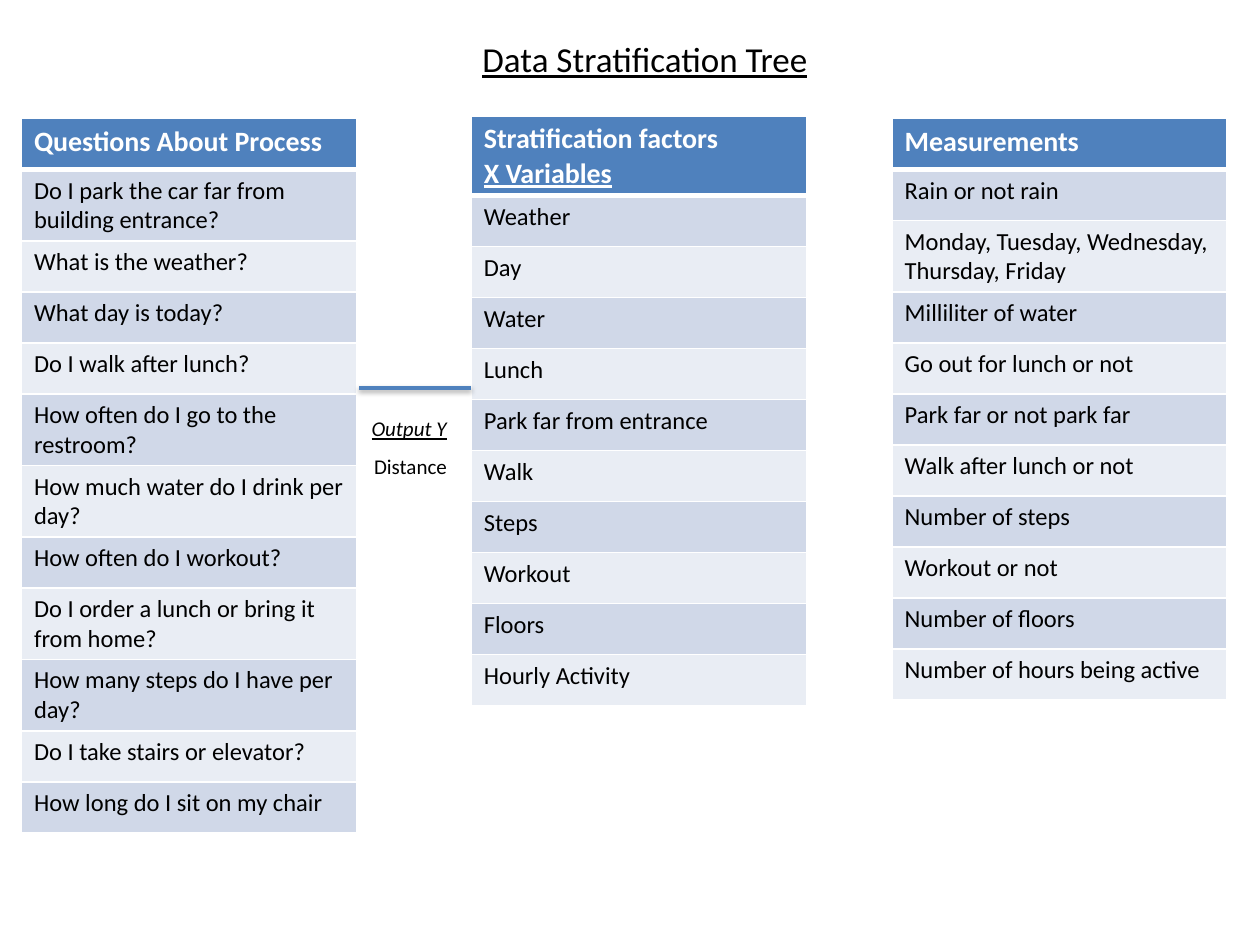
from lxml import etree
from pptx import Presentation
from pptx.dml.color import RGBColor
from pptx.enum.shapes import MSO_CONNECTOR
from pptx.oxml import parse_xml
from pptx.util import Inches, Pt

BLACK = RGBColor(0, 0, 0)
WHITE = RGBColor(0xFF, 0xFF, 0xFF)
BLUE = RGBColor(0x4F, 0x81, 0xBD)
BANDS = [RGBColor(0xD0, 0xD8, 0xE8), RGBColor(0xE9, 0xED, 0xF4)]
NS = "http://schemas.openxmlformats.org/drawingml/2006/main"


def add_run(paragraph, text, size, color=BLACK, bold=False, italic=False, underline=False):
    """Append one formatted run to a paragraph."""
    run = paragraph.add_run()
    run.text = text
    font = run.font
    font.name, font.size, font.color.rgb = "Calibri", Pt(size), color
    font.bold, font.italic, font.underline = bold, italic, underline


def style_cell(cell, fill, bottom_width):
    """Fill a cell and give it white borders."""
    cell.fill.solid()
    cell.fill.fore_color.rgb = fill
    properties = cell._tc.get_or_add_tcPr()
    for index, side in enumerate("LRTB"):
        width = Pt(bottom_width if side == "B" else 1)
        properties.insert(index, parse_xml(
            f'<a:ln{side} xmlns:a="{NS}" w="{width}"><a:solidFill>'
            f'<a:srgbClr val="{WHITE}"/></a:solidFill></a:ln{side}>'))


prs = Presentation()
prs.slide_width, prs.slide_height = Inches(10), Inches(7.5)
slide = prs.slides.add_slide(prs.slide_layouts[6])

# Title and output labels: text, left, top, width, height, size, italic, underline
labels = [
    ("Data Stratification Tree", 3.73, 0.25, 3.08, 0.44, 20, False, True),
    ("Distance", 2.87, 3.55, 0.89, 0.3, 12, False, False),
    ("Output Y", 2.85, 3.25, 0.89, 0.3, 12, True, True),
]
for text, left, top, width, height, size, italic, underline in labels:
    label = slide.shapes.add_textbox(Inches(left), Inches(top), Inches(width), Inches(height))
    label.text_frame.word_wrap = True
    add_run(label.text_frame.paragraphs[0], text, size, italic=italic, underline=underline)

# Tables: left, top, header lines, entries
columns = [
    (0.17, 0.94, ["Questions About Process"], [
        "Do I park the car far from building entrance?", "What is the weather?",
        "What day is today?", "Do I walk after lunch?",
        "How often do I go to the restroom?", "How much water do I drink per day?",
        "How often do I workout?", "Do I order a lunch or bring it from home?",
        "How many steps do I have per day?", "Do I take stairs or elevator?",
        "How long do I sit on my chair"]),
    (3.74, 0.92, ["Stratification factors", "X Variables"], [
        "Weather", "Day", "Water", "Lunch", "Park far from entrance", "Walk",
        "Steps", "Workout", "Floors", "Hourly Activity"]),
    (7.08, 0.94, ["Measurements"], [
        "Rain or not rain", "Monday, Tuesday, Wednesday, Thursday, Friday",
        "Milliliter of water", "Go out for lunch or not", "Park far or not park far",
        "Walk after lunch or not", "Number of steps", "Workout or not",
        "Number of floors", "Number of hours being active"]),
]
ROW_HEIGHT = 0.405
for left, top, heading, entries in columns:
    count = len(entries) + 1
    table = slide.shapes.add_table(count, 1, Inches(left), Inches(top), Inches(2.66),
                                   Inches(ROW_HEIGHT * count)).table
    header = table.cell(0, 0)
    style_cell(header, BLUE, 3)
    for number, line in enumerate(heading):
        frame = header.text_frame
        paragraph = frame.add_paragraph() if number else frame.paragraphs[0]
        add_run(paragraph, line, 16, WHITE, bold=True, underline=number > 0)
    for row, entry in enumerate(entries, start=1):
        cell = table.cell(row, 0)
        style_cell(cell, BANDS[(row - 1) % 2], 1)
        add_run(cell.text_frame.paragraphs[0], entry, 14)

# Link from the questions to the factors, with a soft shadow below
link = slide.shapes.add_connector(MSO_CONNECTOR.STRAIGHT, Inches(2.85), Inches(3.08),
                                  Inches(3.74), Inches(3.08))
link.line.color.rgb = BLUE
link.line.width = Pt(2)
effects = etree.SubElement(link._element.spPr, f"{{{NS}}}effectLst")
shadow = etree.SubElement(effects, f"{{{NS}}}outerShdw", blurRad=str(Pt(3.1)),
                          dist=str(Pt(1.6)), dir="5400000", rotWithShape="0")
shade = etree.SubElement(shadow, f"{{{NS}}}srgbClr", val=str(BLACK))
etree.SubElement(shade, f"{{{NS}}}alpha", val="38000")

prs.save("out.pptx")
